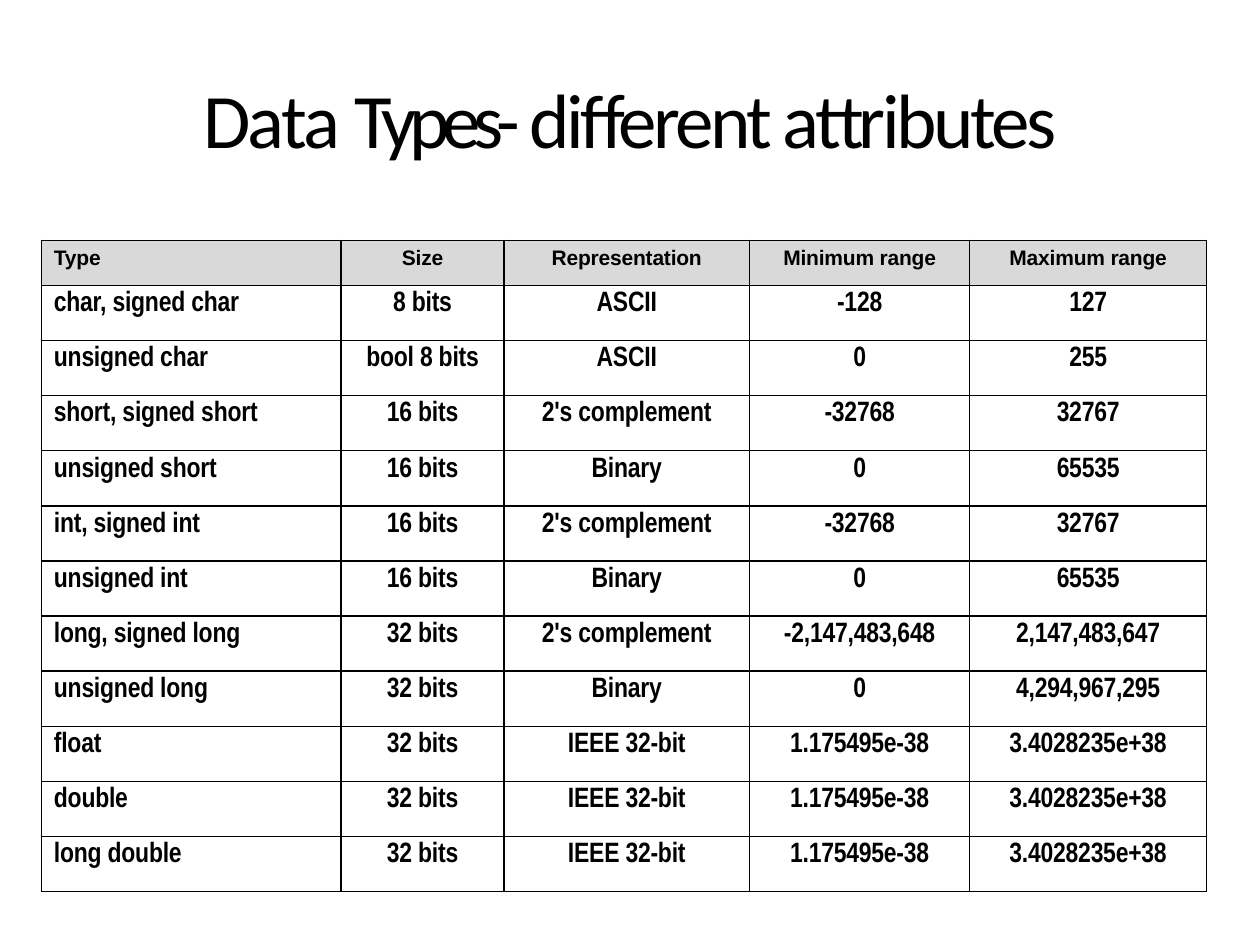
"""Build a slide with a table of data types and their attributes."""
import lxml.etree
import pptx
import pptx.dml.color
import pptx.enum.text
import pptx.oxml.ns
import pptx.util

Pt = pptx.util.Pt
qn = pptx.oxml.ns.qn
ALIGN = pptx.enum.text.PP_ALIGN
ANCHOR = pptx.enum.text.MSO_ANCHOR

HEADER = ["Type", "Size", "Representation", "Minimum range", "Maximum range"]
FLOAT = ["32 bits", "IEEE 32-bit", "1.175495e-38", "3.4028235e+38"]
ROWS = [
    ["char, signed char", "8 bits", "ASCII", "-128", "127"],
    ["unsigned char", "bool 8 bits", "ASCII", "0", "255"],
    ["short, signed short", "16 bits", "2's complement", "-32768", "32767"],
    ["unsigned short", "16 bits", "Binary", "0", "65535"],
    ["int, signed int", "16 bits", "2's complement", "-32768", "32767"],
    ["unsigned int", "16 bits", "Binary", "0", "65535"],
    ["long, signed long", "32 bits", "2's complement", "-2,147,483,648", "2,147,483,647"],
    ["unsigned long", "32 bits", "Binary", "0", "4,294,967,295"],
    ["float", *FLOAT],
    ["double", *FLOAT],
    ["long double", *FLOAT],
]
COLUMN_WIDTHS = [171.4, 93, 140.4, 125.8, 135.4]
HEADER_HEIGHT, ROW_HEIGHT = 25.7, 31.5


def rgb(value):
    return pptx.dml.color.RGBColor.from_string(value)


class SlideBuilder:
    ink = "000000"
    header_fill = "D9D9D9"

    def __init__(self, prs):
        self.s = prs.slides.add_slide(prs.slide_layouts[5])

    def paragraph(self, p, runs, font, size, bold, align, before):
        p.alignment = align
        p.space_before = Pt(before)
        p.font.name, p.font.size, p.font.bold = font, Pt(size), bold
        p.font.color.rgb = rgb(self.ink)
        for text, spacing in runs:
            r = p.add_run()
            r.text = text
            r.font._element.set("spc", str(round(spacing * 100)))

    def title(self, runs, left, top, width, height):
        sp = self.s.shapes.title
        sp.left, sp.top, sp.width, sp.height = map(Pt, (left, top, width, height))
        tf = sp.text_frame
        tf.word_wrap = True
        tf.auto_size = pptx.enum.text.MSO_AUTO_SIZE.NONE
        tf.vertical_anchor = ANCHOR.MIDDLE
        tf.margin_left = tf.margin_right = tf.margin_bottom = 0
        tf.margin_top = Pt(1)
        self.paragraph(tf.paragraphs[0], runs, "Calibri", 44, False, ALIGN.CENTER, 1.1)

    def borders(self, cell):
        tcPr = cell._tc.get_or_add_tcPr()
        for side in ("a:lnL", "a:lnR", "a:lnT", "a:lnB"):
            ln = lxml.etree.SubElement(tcPr, qn(side), w=str(Pt(1)))
            fill = lxml.etree.SubElement(ln, qn("a:solidFill"))
            lxml.etree.SubElement(fill, qn("a:srgbClr"), val=self.ink)

    def cell(self, cell, text, is_header, is_first):
        cell.margin_left = cell.margin_right = cell.margin_bottom = 0
        cell.margin_top = Pt(3.4)
        cell.vertical_anchor = ANCHOR.TOP
        self.borders(cell)
        if is_header:
            cell.fill.solid()
            cell.fill.fore_color.rgb = rgb(self.header_fill)
        else:
            cell.fill.background()
        font, size = ("Arial", 12) if is_header else ("Arial Narrow", 16)
        align = ALIGN.LEFT if is_first else ALIGN.CENTER
        p = cell.text_frame.paragraphs[0]
        self.paragraph(p, [(text, -0.1)], font, size, True, align, 3.4)
        if is_first:
            p._p.get_or_add_pPr().set("marL", str(Pt(7.2)))

    def table(self, rows, left, top, widths, heights):
        table = self.s.shapes.add_table(
            len(rows), len(widths), Pt(left), Pt(top), Pt(sum(widths)), Pt(sum(heights))
        ).table
        table.horz_banding = False
        for column, width in zip(table.columns, widths):
            column.width = Pt(width)
        for i, (row, height) in enumerate(zip(rows, heights)):
            table.rows[i].height = Pt(height)
            for j, text in enumerate(row):
                self.cell(table.cell(i, j), text, i == 0, j == 0)


def main():
    prs = pptx.Presentation()
    prs.slide_width, prs.slide_height = Pt(720), Pt(540)
    slide = SlideBuilder(prs)
    title = [("Data ", -1.6), ("Types- ", -4.2), ("different attributes", -2)]
    slide.title(title, 36, 21.6, 648, 90)
    heights = [HEADER_HEIGHT] + [ROW_HEIGHT] * len(ROWS)
    slide.table([HEADER] + ROWS, 23.6, 137.4, COLUMN_WIDTHS, heights)
    prs.save("out.pptx")


if __name__ == "__main__":
    main()
